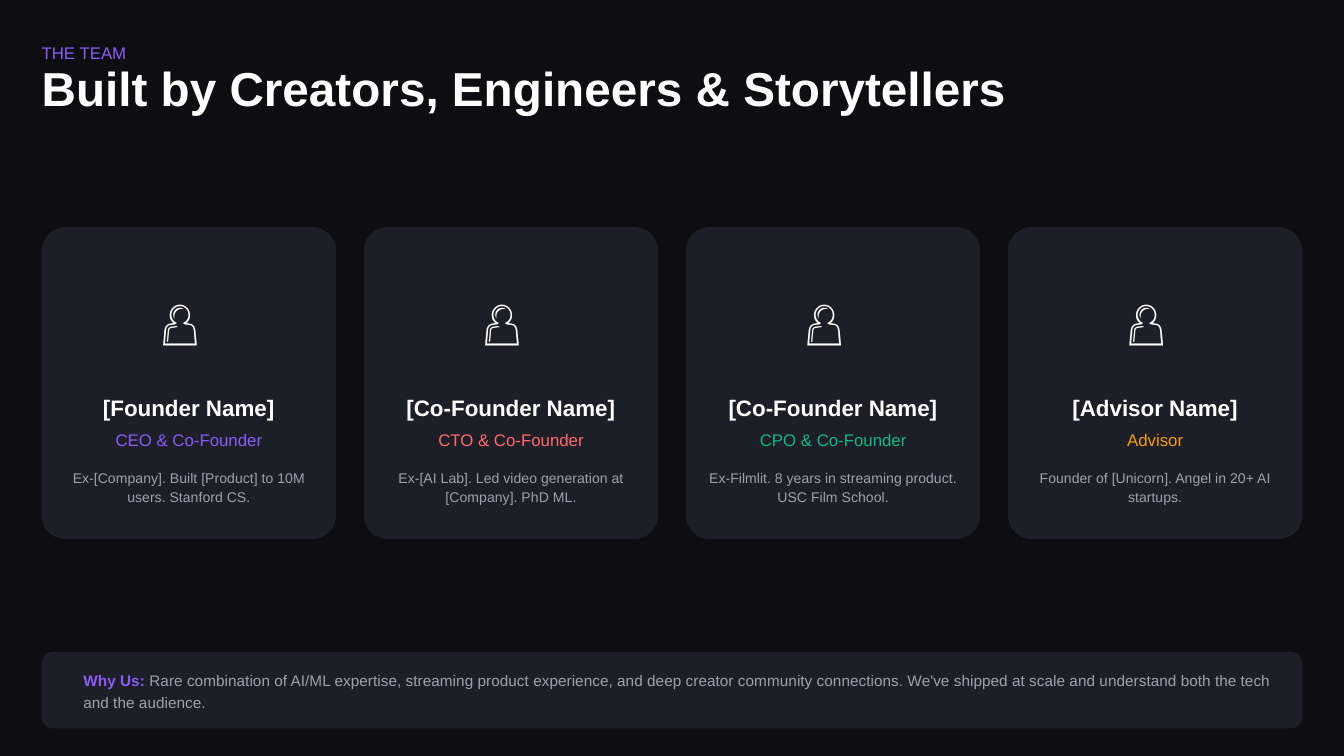
"""Build a dark team slide with four profile cards and a summary bar."""
from pptx import Presentation
from pptx.dml.color import RGBColor
from pptx.enum import shapes, text
from pptx.util import Inches, Pt


def paint(fill, shade):
    fill.solid()
    fill.fore_color.rgb = RGBColor.from_string(shade)


def write(box, words, size, lead, shade, bold=False, align=text.PP_ALIGN.LEFT):
    frame = box.text_frame
    frame.text = words
    frame.word_wrap = True
    frame.auto_size = text.MSO_AUTO_SIZE.NONE
    frame.vertical_anchor = text.MSO_ANCHOR.TOP
    frame.margin_left = frame.margin_right = 0
    frame.margin_top = frame.margin_bottom = 0
    para = frame.paragraphs[0]
    para.alignment = align
    para.line_spacing = Pt(lead)
    for run in para.runs:
        run.font.name = "Arial"
        run.font.size = Pt(size)
        run.font.bold = bold
        run.font.color.rgb = RGBColor.from_string(shade)
    return para


DARK, PANEL, WHITE, GREY, VIOLET = "0D0D12", "1E1E28", "FFFFFF", "9CA3AF", "8B5CF6"
MID = text.PP_ALIGN.CENTER

deck = Presentation()
deck.slide_width = Inches(10)
deck.slide_height = Inches(10 * 9 / 16)
slide = deck.slides.add_slide(deck.slide_layouts[5])
paint(slide.background.fill, DARK)
items = slide.shapes

label = items.add_textbox(Inches(0.31), Inches(0.29), Inches(9.56), Inches(0.17))
write(label, "THE TEAM", 9, 12.6, VIOLET)

title = items.title
title.left, title.top = Inches(0.31), Inches(0.51)
title.width, title.height = Inches(7.31), Inches(0.35)
write(title, "Built by Creators, Engineers & Storytellers", 25.5, 25.5, WHITE, True)

team = [
    ("[Founder Name]", "CEO & Co-Founder", VIOLET, 1.3,
     "Ex-[Company]. Built [Product] to 10M users. Stanford CS."),
    ("[Co-Founder Name]", "CTO & Co-Founder", "FF6B6B", 1.59,
     "Ex-[AI Lab]. Led video generation at [Company]. PhD ML."),
    ("[Co-Founder Name]", "CPO & Co-Founder", "10B981", 1.59,
     "Ex-Filmlit. 8 years in streaming product. USC Film School."),
    ("[Advisor Name]", "Advisor", "F59E0B", 1.26,
     "Founder of [Unicorn]. Angel in 20+ AI startups."),
]
left, wide, span = 0.31, 2.19, 9.38
step = (span - wide) / (len(team) - 1)

panels = [(left + i * step, 1.69, wide, 2.32, 0.08) for i in range(len(team))]
panels.append((left, 4.85, span, 0.57, 0.15))
for x, y, w, h, curve in panels:
    panel = items.add_shape(shapes.MSO_SHAPE.ROUNDED_RECTANGLE,
                            Inches(x), Inches(y), Inches(w), Inches(h))
    panel.adjustments[0] = curve
    panel.shadow.inherit = False
    panel.line.fill.background()
    paint(panel.fill, PANEL)

for i, (name, role, tint, width, bio) in enumerate(team):
    x = left + i * step
    icon = items.add_textbox(Inches(x + 0.89), Inches(2.12), Inches(0.42), Inches(0.47))
    write(icon, "👤", 24, 33.6, WHITE)
    rows = [
        (name, 2.9, width, 0.23, 12, 16.8, WHITE, True),
        (role, 3.17, width, 0.17, 9, 12.6, tint, False),
        (bio, 3.47, 1.89, 0.29, 7.5, 10.5, GREY, False),
    ]
    for words, y, w, h, size, lead, shade, bold in rows:
        box = items.add_textbox(Inches(x + (wide - w) / 2), Inches(y), Inches(w), Inches(h))
        write(box, words, size, lead, shade, bold, MID)

why = items.add_textbox(Inches(0.62), Inches(4.97), Inches(8.93), Inches(0.32))
para = write(why, "Why Us:", 8.25, 11.6, VIOLET, True)
rest = para.add_run()
rest.text = (" Rare combination of AI/ML expertise, streaming product experience, and deep "
             "creator community connections. We've shipped at scale and understand both "
             "the tech and the audience.")
rest.font.name = "Arial"
rest.font.size = Pt(8.25)
rest.font.bold = False
rest.font.color.rgb = RGBColor.from_string(GREY)

deck.save("out.pptx")
